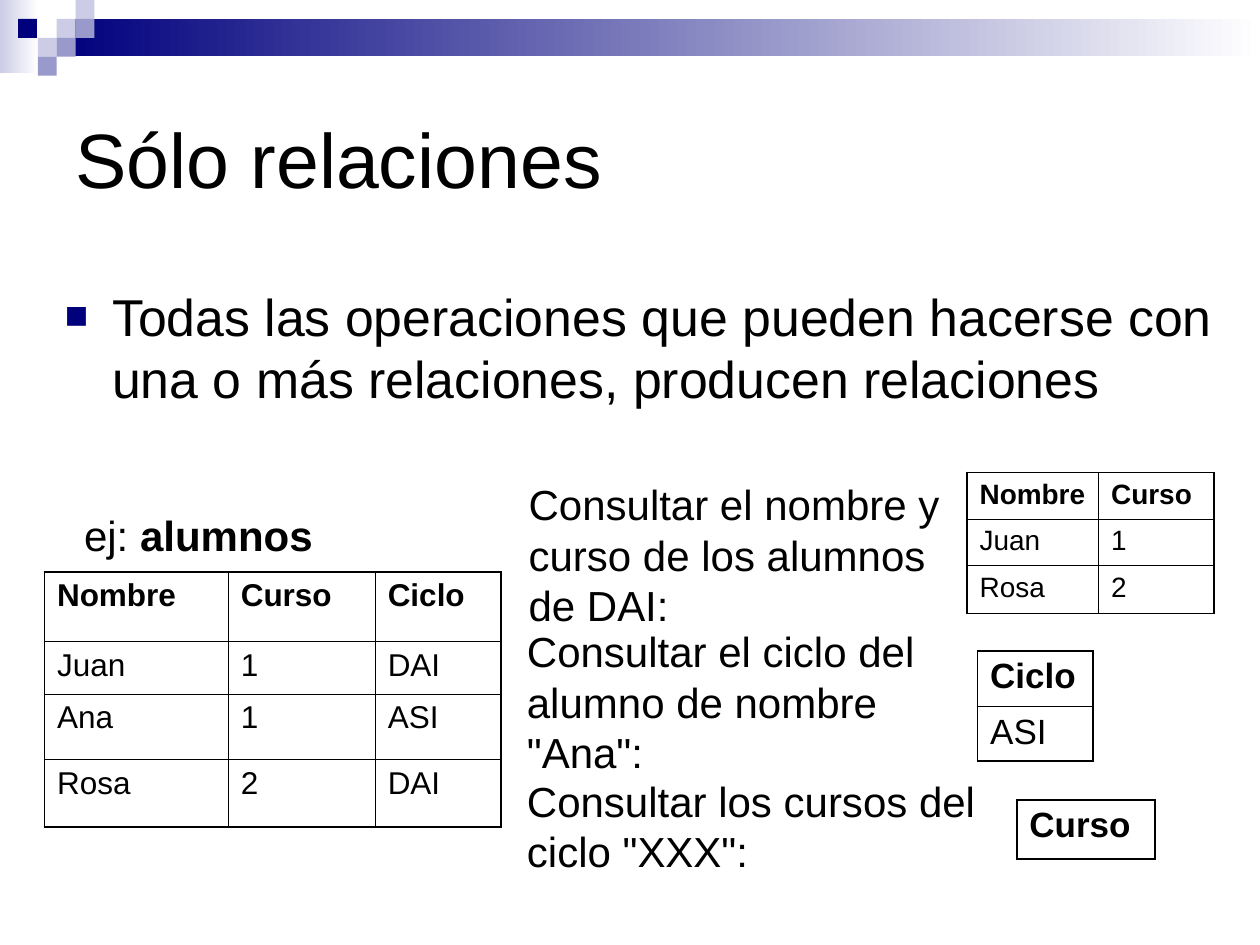
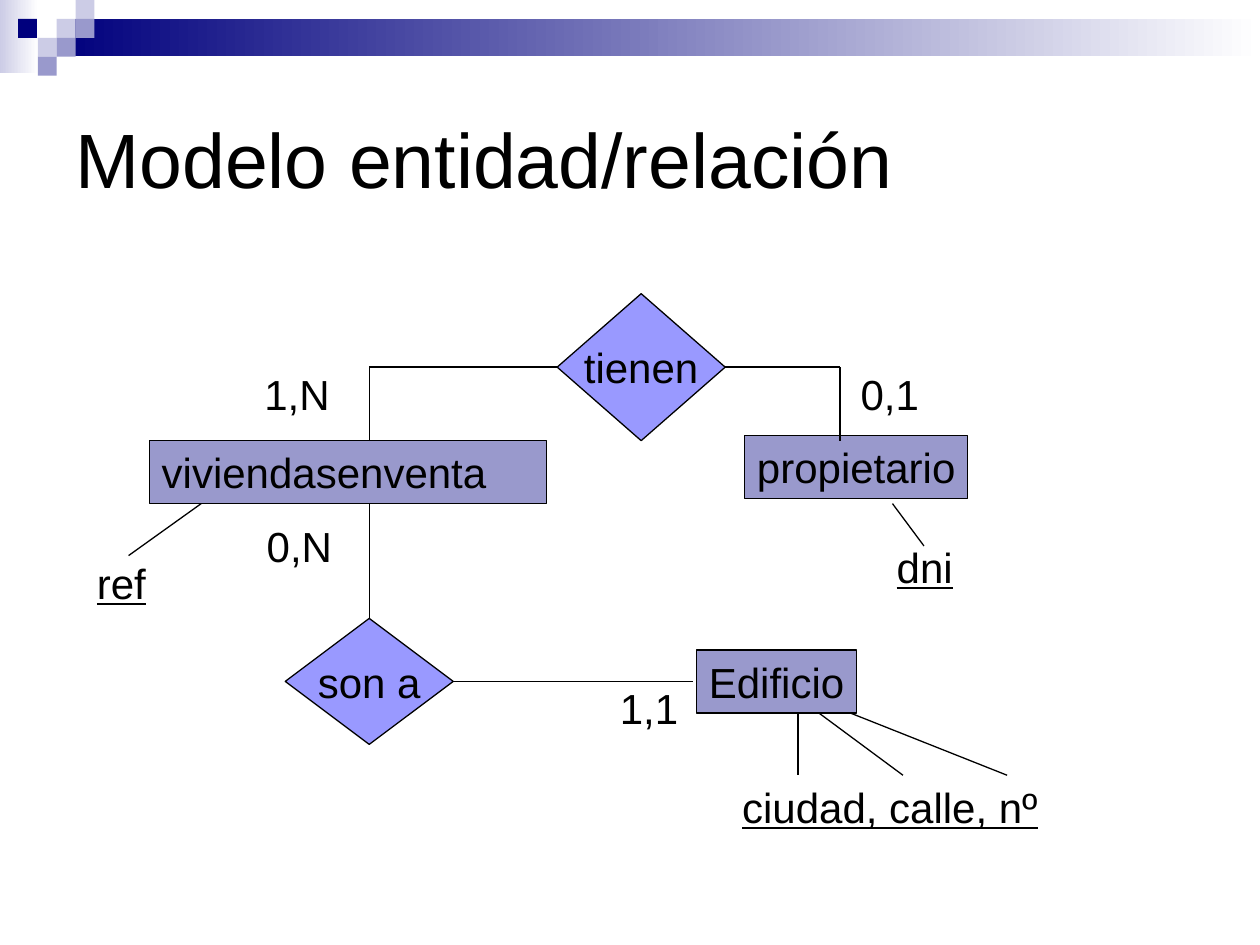
import pptx
import pptx.dml.color
import pptx.enum.shapes
import pptx.enum.text
import pptx.oxml
import pptx.util
from lxml import etree

Pt = pptx.util.Pt
color = pptx.dml.color.RGBColor.from_string
MSO_SHAPE = pptx.enum.shapes.MSO_SHAPE
ANCHOR = pptx.enum.text.MSO_ANCHOR
STRAIGHT = pptx.enum.shapes.MSO_CONNECTOR.STRAIGHT
NAMESPACE = "http://schemas.openxmlformats.org/drawingml/2006/main"

FONT = "Arial"
BLACK, WHITE, NAVY = "000000", "FFFFFF", "00007D"
LAVENDER, PALE, VIOLET = "9999CC", "CCCCE6", "9999FF"
TOP, LEFT, BOTTOM, RIGHT = range(4)
UNIT = 10.8


def write_text(shape, text, size, bold=False, underline=None, wrap=True, anchor=ANCHOR.TOP):
    """Fill a shape, text box or table cell with one black paragraph."""
    text_frame = shape.text_frame
    text_frame.text = text
    text_frame.word_wrap = wrap
    text_frame.vertical_anchor = anchor
    paragraph = text_frame.paragraphs[0]
    paragraph.alignment = pptx.enum.text.PP_ALIGN.LEFT
    for run in paragraph.runs:
        run.font.name = FONT
        run.font.size = Pt(size)
        run.font.bold = bold
        run.font.underline = underline
        run.font.color.rgb = color(BLACK)
    return paragraph


def add_box(slide, kind, left, top, width, height, fill, line=None):
    """Add a preset shape; a pair of colours makes a left-to-right gradient."""
    shape = slide.shapes.add_shape(kind, Pt(left), Pt(top), Pt(width), Pt(height))
    shape.shadow.inherit = False
    if isinstance(fill, tuple):
        shape.fill.gradient()
        shape.fill.gradient_angle = 0
        for stop, stop_color in zip(shape.fill.gradient_stops, fill):
            stop.color.rgb = color(stop_color)
    else:
        shape.fill.solid()
        shape.fill.fore_color.rgb = color(fill)
    if line:
        shape.line.color.rgb = color(line)
        shape.line.width = Pt(0.75)
    else:
        shape.line.fill.background()
    return shape


presentation = pptx.Presentation()
presentation.slide_width = Pt(720)
presentation.slide_height = Pt(540)

# Header band, squares and title on every slide
header = [
    (0, 0, 22, 42, (PALE, WHITE)),
    (3 * UNIT, UNIT, 720 - 3 * UNIT, 21.2, (NAVY, WHITE)),
    (10.3, UNIT, UNIT, UNIT, NAVY),
]
squares = [(3, 1, PALE), (4, 0, PALE), (4, 1, LAVENDER),
           (2, 2, PALE), (3, 2, LAVENDER), (2, 3, LAVENDER)]
header += [(column * UNIT, row * UNIT, UNIT, UNIT, fill) for column, row, fill in squares]

slides = []
for title in ("Sólo relaciones", "Modelo entidad/relación"):
    slide = presentation.slides.add_slide(presentation.slide_layouts[6])
    for left, top, width, height, fill in header:
        add_box(slide, MSO_SHAPE.RECTANGLE, left, top, width, height, fill)
    title_box = slide.shapes.add_textbox(Pt(36), Pt(36), Pt(648), Pt(108))
    write_text(title_box, title, 44, anchor=ANCHOR.MIDDLE)
    slides.append(slide)
relations_slide, model_slide = slides

# Slide 1: bulleted statement
statement_box = relations_slide.shapes.add_textbox(Pt(30), Pt(159), Pt(676), Pt(93))
paragraph = write_text(
    statement_box,
    "Todas las operaciones que pueden hacerse con una o más relaciones, producen relaciones",
    29.6)
properties = paragraph._p.get_or_add_pPr()
properties.set("marL", str(Pt(27)))
properties.set("indent", str(Pt(-27)))
for bullet in (f'<a:buClr xmlns:a="{NAMESPACE}"><a:srgbClr val="{NAVY}"/></a:buClr>',
               f'<a:buSzPct xmlns:a="{NAMESPACE}" val="75000"/>',
               f'<a:buFont xmlns:a="{NAMESPACE}" typeface="{FONT}"/>',
               f'<a:buChar xmlns:a="{NAMESPACE}" char="■"/>'):
    properties.append(pptx.oxml.parse_xml(bullet))

# Slide 1: example name and queries
example_box = relations_slide.shapes.add_textbox(Pt(41), Pt(287.5), Pt(160), Pt(36))
paragraph = write_text(example_box, "ej: ", 24)
run = paragraph.add_run()
run.text = "alumnos"
run.font.name = FONT
run.font.size = Pt(24)
run.font.bold = True
run.font.color.rgb = color(BLACK)

queries = [
    (295, 270, 263, 94, "Consultar el nombre y curso de los alumnos de DAI:"),
    (294, 354, 276, 94, 'Consultar el ciclo del alumno de nombre "Ana":'),
    (294, 439.5, 276, 65, 'Consultar los cursos del ciclo "XXX":'),
]
for left, top, width, height, text in queries:
    query_box = relations_slide.shapes.add_textbox(Pt(left), Pt(top), Pt(width), Pt(height))
    write_text(query_box, text, 24)

# Slide 1: the relation and the query results (left, top, size, columns, row heights, rows)
tables = [
    (25.4, 326.8, 18, (105, 84, 72), (39.6, 30.2, 37.4, 38.5),
     [("Nombre", "Curso", "Ciclo"), ("Juan", "1", "DAI"), ("Ana", "1", "ASI"), ("Rosa", "2", "DAI")]),
    (552.6, 270, 16, (75.2, 66), (26.6, 26.6, 27.3),
     [("Nombre", "Curso"), ("Juan", "1"), ("Rosa", "2")]),
    (558.6, 372, 20, (66,), (31.5, 31.5), [("Ciclo",), ("ASI",)]),
    (581, 457, 20, (79,), (34,), [("Curso",)]),
]
for left, top, size, widths, heights, rows in tables:
    frame = relations_slide.shapes.add_table(
        len(rows), len(widths), Pt(left), Pt(top), Pt(sum(widths)), Pt(sum(heights)))
    table = frame.table
    table.horz_banding = False
    for column, width in zip(table.columns, widths):
        column.width = Pt(width)
    for row_index, (height, values) in enumerate(zip(heights, rows)):
        table.rows[row_index].height = Pt(height)
        for column_index, value in enumerate(values):
            cell = table.cell(row_index, column_index)
            cell.margin_left = cell.margin_right = Pt(7.2)
            cell.margin_top = cell.margin_bottom = Pt(3.6)
            write_text(cell, value, size, bold=row_index == 0)
            # Thick outer border, thin inner rules
            outer = {"lnL": column_index == 0, "lnR": column_index == len(widths) - 1,
                     "lnT": row_index == 0, "lnB": row_index == len(rows) - 1}
            cell_properties = cell._tc.get_or_add_tcPr()
            for side, is_outer in outer.items():
                weight = Pt(1.08 if is_outer else 0.45)
                cell_properties.append(pptx.oxml.parse_xml(
                    f'<a:{side} xmlns:a="{NAMESPACE}" w="{weight}"><a:solidFill>'
                    f'<a:srgbClr val="{BLACK}"/></a:solidFill></a:{side}>'))
            cell.fill.background()

# Slide 2: entities
entities = [
    ("viviendasenventa", 85.3, 251.8, 227.2, True),
    ("propietario", 425.5, 249, 127.5, False),
    ("Edificio", 398, 371.5, 91.5, False),
]
for name, left, top, width, wrap in entities:
    entity = add_box(model_slide, MSO_SHAPE.RECTANGLE, left, top, width, 36, LAVENDER, BLACK)
    write_text(entity, name, 24, wrap=wrap)

# Slide 2: relationships
relationships = {}
for name, left, top, height in (("son a", 163, 353.4, 72), ("tienen", 318.4, 167.8, 84)):
    diamond = add_box(model_slide, MSO_SHAPE.DIAMOND, left, top, 96, height, VIOLET, BLACK)
    paragraph = write_text(diamond, name, 24, wrap=False, anchor=ANCHOR.MIDDLE)
    paragraph.alignment = pptx.enum.text.PP_ALIGN.CENTER
    relationships[name] = diamond

# Slide 2: lines, starting at a diamond corner where one is given
lines = [
    (211, 251.8, 211, 209.8, None),
    (318.4, 209.8, 211, 209.8, ("tienen", LEFT)),
    (414.4, 209.8, 480, 209.8, ("tienen", RIGHT)),
    (480, 209.8, 480, 251.8, None),
    (211, 353.4, 211, 287.8, ("son a", TOP)),
    (259, 389.4, 396, 389.4, ("son a", RIGHT)),
    (115, 287.8, 73.5, 317.5, None),
    (510, 287.8, 528, 312, None),
    (456, 407.5, 456, 443, None),
    (468, 407.5, 516, 443, None),
    (486, 407.5, 575.5, 443, None),
]
for start_x, start_y, end_x, end_y, joint in lines:
    connector = model_slide.shapes.add_connector(
        STRAIGHT, Pt(start_x), Pt(start_y), Pt(end_x), Pt(end_y))
    connector.line.color.rgb = color(BLACK)
    connector.line.width = Pt(0.75)
    etree.SubElement(connector._element.spPr, f"{{{NAMESPACE}}}effectLst")
    if joint:
        name, corner = joint
        connector.begin_connect(relationships[name], corner)

# Slide 2: cardinalities and underlined key attributes
labels = [
    ("0,1", 484.7, 207, 56, None),
    ("1,N", 144, 207, 60, None),
    ("1,1", 347.2, 386.5, 50, None),
    ("0,N", 145.3, 294, 60, None),
    ("ref", 48.3, 315, 56, True),
    ("dni", 505.3, 305.7, 60, True),
    ("ciudad, calle, nº", 417, 443, 210, True),
]
for text, left, top, width, underline in labels:
    label = model_slide.shapes.add_textbox(Pt(left), Pt(top), Pt(width), Pt(36))
    write_text(label, text, 24, underline=underline)

presentation.save("out.pptx")
